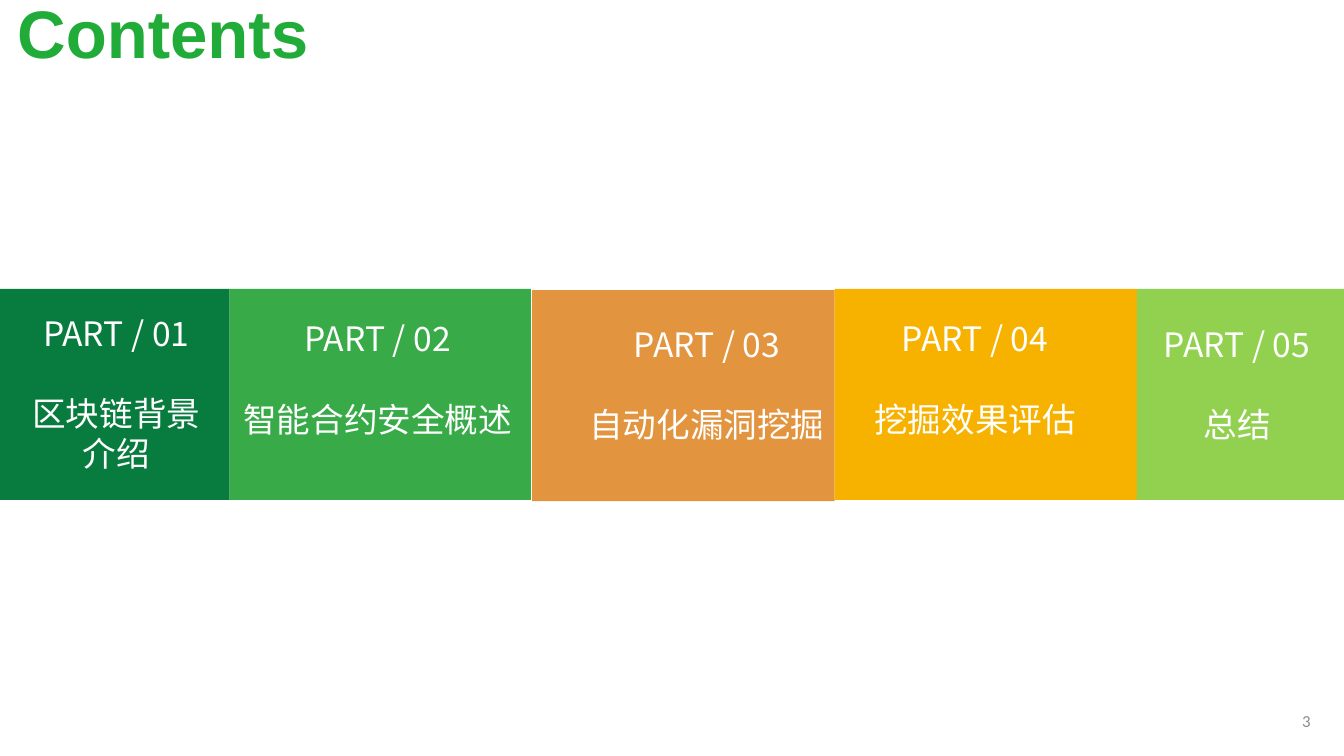
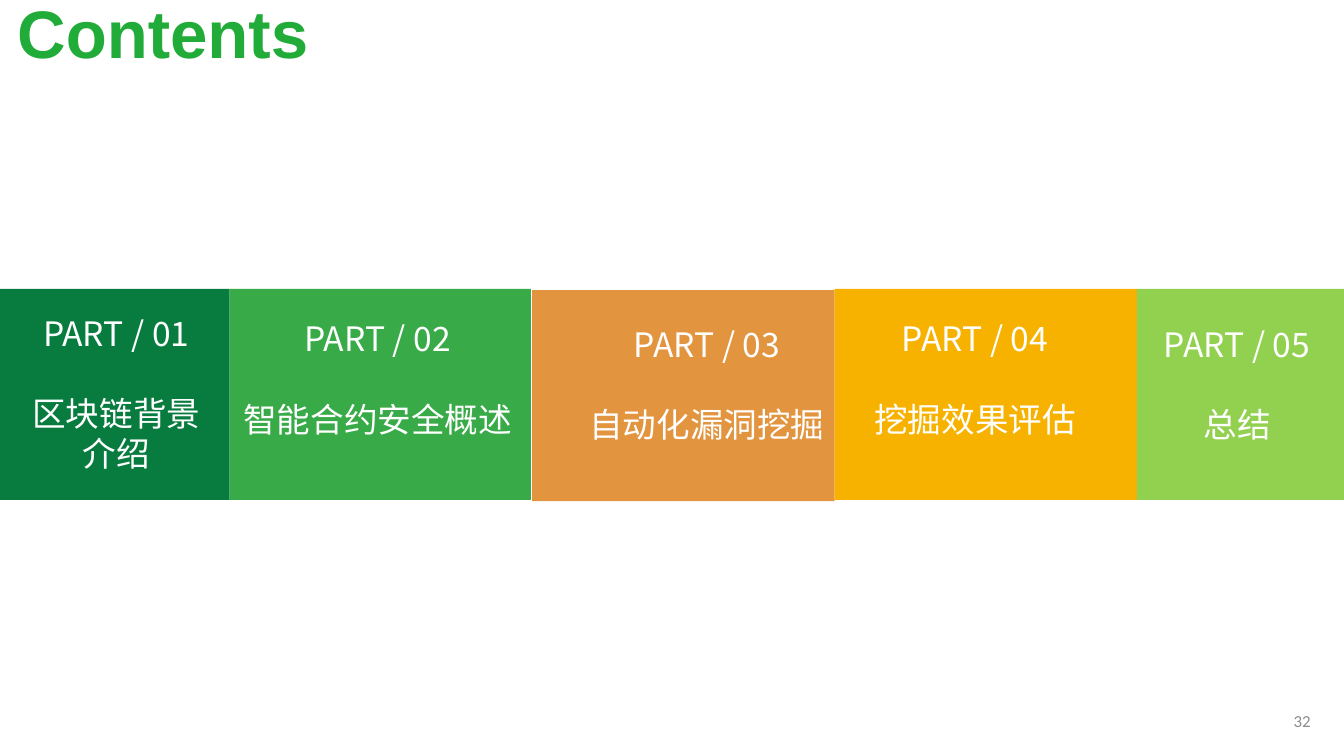
from dataclasses import dataclass
from pptx import Presentation
from pptx.dml.color import RGBColor
from pptx.enum.shapes import MSO_SHAPE
from pptx.enum.text import MSO_ANCHOR, PP_ALIGN
from pptx.oxml.ns import qn
from pptx.util import Inches, Pt


@dataclass(frozen=True)
class Theme:
    title: str = "21AB38"
    page: str = "8C8C8C"
    label: str = "FFFFFF"
    head_font: str = "Arial"
    page_font: str = "Calibri"
    body_font: str = "Noto Sans CJK KR"
    head_size: int = 36
    page_size: int = 9
    body_size: int = 18
    line: float = 21.5


THEME = Theme()
WIDE = 10
HIGH = WIDE * 9 / 16
BAND_TOP, BAND_HIGH = 2.15, 1.57

# Band left, width, top shift, fill; label left, top, width, height; topic
PARTS = [
    (0, 1.71, 0, "087C3F", (0.08, 2.28, 1.57, 1.31), "区块链背景介绍"),
    (1.71, 2.24, 0, "38AA47", (1.19, 2.32, 3.24, 1.01), "智能合约安全概述"),
    (3.96, 2.25, 0.01, "E2943F", (3.64, 2.36, 3.24, 1.31), "自动化漏洞挖掘"),
    (6.21, 2.25, 0, "F7B200", (6.13, 2.32, 2.25, 1.31), "挖掘效果评估"),
    (8.46, 1.54, 0, "92D050", (8.48, 2.36, 1.45, 1.01), "总结"),
]


def add_text(slide, area, lines, font, size, color, align, bold=False):
    box = slide.shapes.add_textbox(*map(Inches, area))
    frame = box.text_frame
    frame.word_wrap = True
    frame.text = "\n".join(lines)
    for para in frame.paragraphs:
        para.alignment = align
        para.font.name = font
        para.font.size = Pt(size)
        para.font.bold = bold
        para.font.color.rgb = RGBColor.from_string(color)
    return frame


def add_title(slide, text):
    frame = add_text(slide, (0.03, 0.05, 8.29, 0.45), [text], THEME.head_font,
                     THEME.head_size, THEME.title, PP_ALIGN.LEFT, True)
    frame.vertical_anchor = MSO_ANCHOR.MIDDLE
    frame.paragraphs[0].line_spacing = 0.9


def add_page(slide, number):
    frame = add_text(slide, (7.6, 5.21, 2.25, 0.3), [str(number)],
                     THEME.page_font, THEME.page_size, THEME.page,
                     PP_ALIGN.RIGHT)
    frame.vertical_anchor = MSO_ANCHOR.MIDDLE


def add_band(slide, left, width, top, fill):
    band = slide.shapes.add_shape(
        MSO_SHAPE.RECTANGLE, Inches(left), Inches(top), Inches(width),
        Inches(BAND_HIGH))
    band.shadow.inherit = False
    band.fill.solid()
    band.fill.fore_color.rgb = RGBColor.from_string(fill)
    band.line.fill.background()


def add_label(slide, area, number, topic):
    frame = add_text(slide, area, [f"PART / {number:02}", topic],
                     THEME.body_font, THEME.body_size, THEME.label,
                     PP_ALIGN.CENTER)
    frame.margin_left = frame.margin_right = Inches(0.05)
    frame.margin_top = frame.margin_bottom = Inches(0.05)
    for para in frame.paragraphs:
        para.line_spacing = Pt(THEME.line)
        # East Asian glyphs take the same font as the Latin ones
        for run in para.runs:
            props = run.font._element
            east = props.makeelement(qn("a:ea"), {"typeface": THEME.body_font})
            props.append(east)
    frame.paragraphs[1].space_before = Pt(THEME.line)


def add_contents(deck, page):
    slide = deck.slides.add_slide(deck.slide_layouts[6])
    add_title(slide, "Contents")
    add_page(slide, page)
    for number, part in enumerate(PARTS, 1):
        left, width, shift, fill, area, topic = part
        add_band(slide, left, width, BAND_TOP + shift, fill)
        add_label(slide, area, number, topic)


def main():
    deck = Presentation()
    deck.slide_width, deck.slide_height = Inches(WIDE), Inches(HIGH)
    for page in (3, 32):
        add_contents(deck, page)
    deck.save("out.pptx")


if __name__ == "__main__":
    main()
